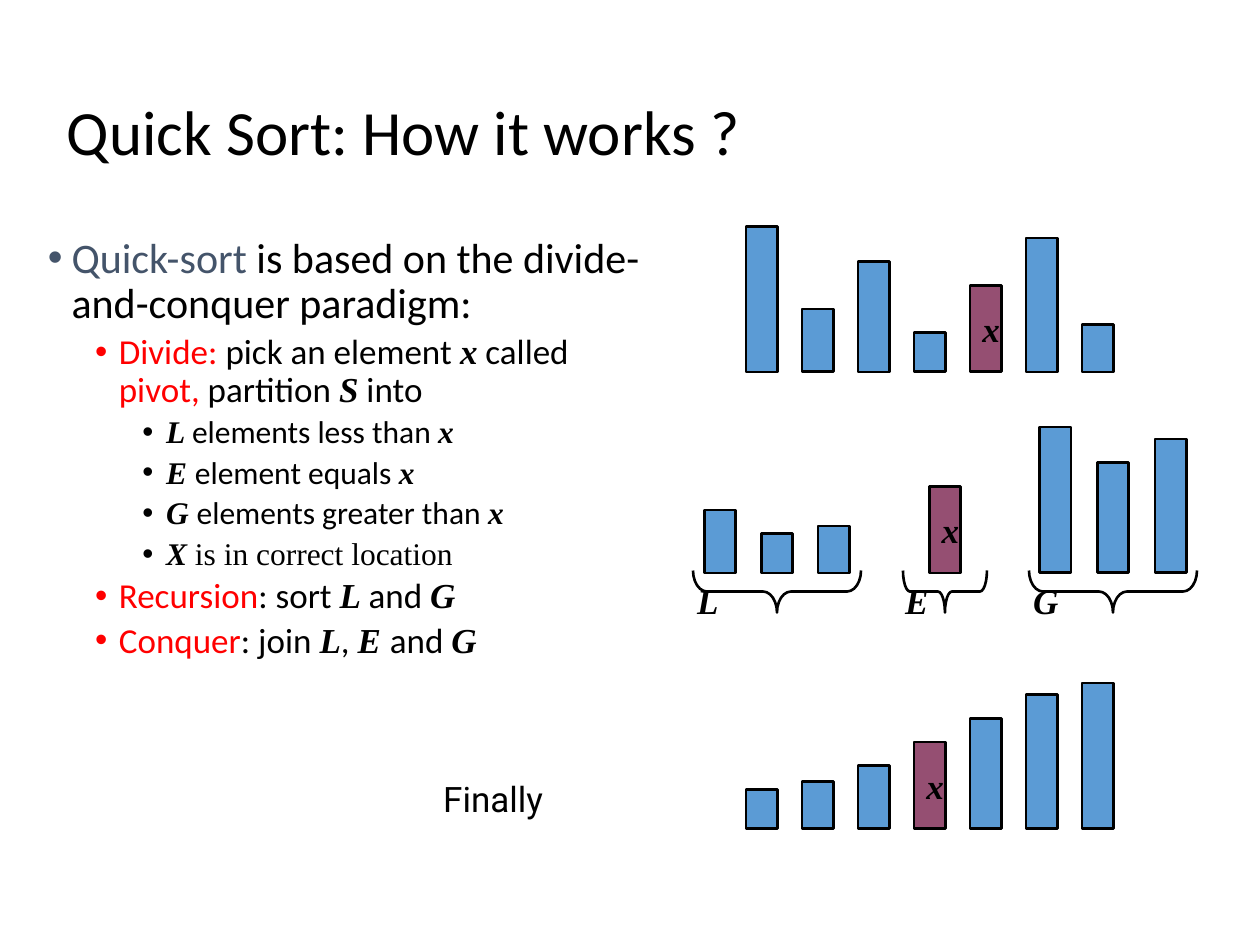
from lxml import etree
from pptx import Presentation
from pptx.dml.color import RGBColor
from pptx.enum import shapes, text
from pptx.oxml.ns import qn
from pptx.util import Pt

THEME = {
    "sans": "Calibri", "serif": "Times New Roman", "caption": "Roboto",
    "black": "000000", "slate": "44546A", "red": "FF0000",
    "bar": "5B9BD5", "pivot": "954F72",
    "title_size": 36, "level_sizes": (24, 20, 18), "label_size": 20,
    "outline": 1.5,
}

TITLE = "Quick Sort: How it works ?"
CAPTION = "Finally"

# Run style: font, colour, bold italic
STYLES = {
    "plain": ("sans", "black", False),
    "term": ("sans", "slate", False),
    "key": ("sans", "red", False),
    "var": ("serif", "black", True),
    "roman": ("serif", "black", False),
}

# Each point: level, then (style, wording) runs
POINTS = [
    (0, [("term", "Quick-sort"), ("plain", " is based on the divide-and-conquer paradigm:")]),
    (1, [("key", "Divide:"), ("plain", " pick an element "), ("var", "x"), ("plain", " called "),
         ("key", "pivot,"), ("plain", " partition "), ("var", "S"), ("plain", " into")]),
    (2, [("var", "L "), ("plain", "elements less than "), ("var", "x")]),
    (2, [("var", "E "), ("plain", "element equals "), ("var", "x")]),
    (2, [("var", "G "), ("plain", "elements greater than "), ("var", "x")]),
    (2, [("var", "X "), ("roman", "is in correct location")]),
    (1, [("key", "Recursion"), ("plain", ": sort "), ("var", "L "), ("plain", "and "), ("var", "G")]),
    (1, [("key", "Conquer"), ("plain", ": join "), ("var", "L"), ("plain", ", "),
         ("var", "E "), ("plain", "and "), ("var", "G")]),
]

# Bar heights in points; the pivot is the element x
PIVOT = 49.5
UNSORTED = [83.25, 36, 63, 22.5, PIVOT, 76.5, 27]
LESS = [v for v in UNSORTED if v < PIVOT]
GREATER = [v for v in UNSORTED if v > PIVOT]

# Bar rows: left, baseline, pitch, heights
BAR_WIDTH = 18
ROWS = [
    (426.25, 212.5, 32, UNSORTED),
    (402.5, 327.5, 32.5, LESS),
    (531, 327.5, 32, [PIVOT]),
    (594, 327.25, 33, GREATER),
    (426.25, 473.5, 32, sorted(UNSORTED)),
]

# Braces: label, span, curl; their centres are evenly spaced
BRACES = [("L", 96, 0.333), ("E", 48, 0.167), ("G", 96, 0.333)]
BRACE_DEPTH, BRACE_CENTER, BRACE_PITCH, BRACE_MIDDLE = 24, 444, 96, 338


def rgb(name):
    return RGBColor.from_string(THEME[name])


def place(shape, left, top, width, height):
    shape.left, shape.top, shape.width, shape.height = map(Pt, (left, top, width, height))


def set_font(font, face, color, size=None, slanted=None):
    """Format a font; slanted turns bold and italic on or off together."""
    font.name = THEME[face]
    font.color.rgb = rgb(color)
    if size:
        font.size = Pt(size)
    if slanted is not None:
        font.bold = font.italic = slanted


def add_outlined(slide, preset, left, top, width, height):
    shape = slide.shapes.add_shape(preset, *map(Pt, (left, top, width, height)))
    shape.shadow.inherit = False
    shape.line.color.rgb = rgb("black")
    shape.line.width = Pt(THEME["outline"])
    return shape


def add_label(shape, label, anchor):
    frame = shape.text_frame
    frame.word_wrap = False
    frame.vertical_anchor = anchor
    line = frame.paragraphs[0]
    line.text = label
    line.alignment = text.PP_ALIGN.LEFT
    set_font(line.font, "serif", "black", THEME["label_size"], True)


def add_bars(slide, left, baseline, pitch, heights):
    for i, height in enumerate(heights):
        bar = add_outlined(slide, shapes.MSO_SHAPE.RECTANGLE,
                           left + i * pitch, baseline - height, BAR_WIDTH, height)
        bar.fill.solid()
        bar.fill.fore_color.rgb = rgb("pivot" if height == PIVOT else "bar")
        if height == PIVOT:
            add_label(bar, "x", text.MSO_ANCHOR.MIDDLE)


def add_brace(slide, center, label, span, curl):
    """Add a left brace turned to open upwards, with an upright label."""
    brace = add_outlined(slide, shapes.MSO_SHAPE.LEFT_BRACE, center - BRACE_DEPTH / 2,
                         BRACE_MIDDLE - span / 2, BRACE_DEPTH, span)
    brace.rotation = 270
    brace.adjustments[0] = curl
    brace.fill.background()
    add_label(brace, label, text.MSO_ANCHOR.TOP)
    frame = brace.text_frame
    frame.margin_left, frame.margin_right = Pt(7.2), Pt(43.2)
    frame.margin_top = frame.margin_bottom = 0
    frame._txBody.bodyPr.set("vert", "eaVert")


def set_bullet(paragraph, level):
    props = paragraph._p.get_or_add_pPr()
    props.set("marL", str(Pt(13.5 + 27 * level)))
    props.set("indent", str(Pt(-13.5)))
    etree.SubElement(props, qn("a:buFont")).set("typeface", "Arial")
    etree.SubElement(props, qn("a:buChar")).set("char", "•")


def fill_title(title):
    place(title, 31, 25.2, 620.6, 104.4)
    title.text_frame.auto_size = text.MSO_AUTO_SIZE.NONE
    title.text_frame.vertical_anchor = text.MSO_ANCHOR.MIDDLE
    heading = title.text_frame.paragraphs[0]
    heading.text = TITLE
    heading.alignment = text.PP_ALIGN.LEFT
    heading.line_spacing = 0.9
    set_font(heading.font, "sans", "black", THEME["title_size"])


def fill_body(body):
    place(body, 20.2, 131.8, 357.8, 360)
    frame = body.text_frame
    frame.auto_size = text.MSO_AUTO_SIZE.NONE
    for i, (level, runs) in enumerate(POINTS):
        point = frame.add_paragraph() if i else frame.paragraphs[0]
        point.level = level
        set_bullet(point, level)
        point.line_spacing = 0.9
        point.space_before = Pt(3.75 if level else 7.5)
        point.font.size = Pt(THEME["level_sizes"][level])
        for style, wording in runs:
            run = point.add_run()
            run.text = wording
            face, color, slanted = STYLES[style]
            set_font(run.font, face, color, slanted=slanted)


def add_caption(slide):
    caption = slide.shapes.add_textbox(*map(Pt, (246.2, 440.6, 164.2, 31.5)))
    caption.text_frame.word_wrap = True
    line = caption.text_frame.paragraphs[0]
    line.text = CAPTION
    set_font(line.font, "caption", "black", THEME["label_size"])


def main():
    deck = Presentation()
    deck.slide_width, deck.slide_height = Pt(720), Pt(540)
    slide = deck.slides.add_slide(deck.slide_layouts[1])
    fill_title(slide.shapes.title)
    fill_body(slide.placeholders[1])
    for row in ROWS:
        add_bars(slide, *row)
    for i, brace in enumerate(BRACES):
        add_brace(slide, BRACE_CENTER + i * BRACE_PITCH, *brace)
    add_caption(slide)
    deck.save("out.pptx")


if __name__ == "__main__":
    main()
